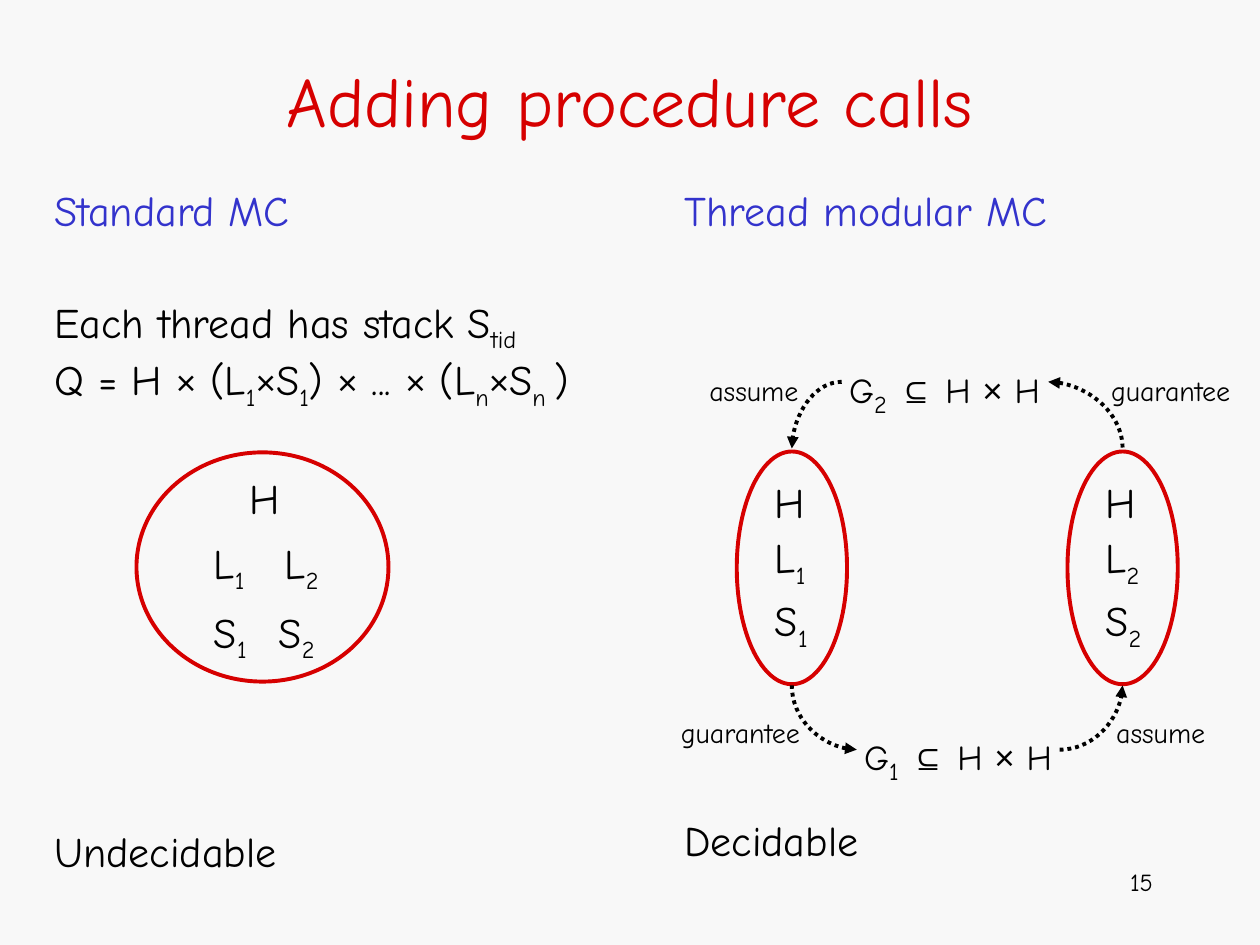
from dataclasses import dataclass
from itertools import groupby

from lxml.etree import SubElement
from pptx import Presentation
from pptx.dml.color import RGBColor
from pptx.enum.dml import MSO_LINE
from pptx.enum.shapes import MSO_CONNECTOR, MSO_SHAPE
from pptx.enum.text import MSO_ANCHOR, PP_ALIGN
from pptx.oxml.ns import qn
from pptx.util import Pt


@dataclass(frozen=True)
class Theme:
    background: RGBColor = RGBColor(0xF8, 0xF8, 0xF8)
    red: RGBColor = RGBColor(0xD6, 0x00, 0x00)
    blue: RGBColor = RGBColor(0x33, 0x33, 0xCC)
    black: RGBColor = RGBColor(0, 0, 0)
    font: str = "Comic Neue"
    symbol_font: str = "Arial"
    symbols: str = "×⊆"
    title: int = 40
    body: int = 24
    formula: int = 20
    label: int = 16
    number: int = 14
    line: float = 2.25


class SlideBuilder:
    def __init__(self, slide, theme):
        self.slide = slide
        self.theme = theme
        slide.background.fill.solid()
        slide.background.fill.fore_color.rgb = theme.background

    def text(self, left, top, width, height, markup, size=None, color=None, align=PP_ALIGN.LEFT):
        """Add a wrapping text box; braces in the markup enclose subscripts."""
        shape = self.slide.shapes.add_textbox(Pt(left), Pt(top), Pt(width), Pt(height))
        shape.text_frame.word_wrap = True
        self.fill_paragraph(shape.text_frame.paragraphs[0], markup, size, color, align)
        return shape.text_frame

    def fill_paragraph(self, paragraph, markup, size=None, color=None, align=PP_ALIGN.LEFT, tab=None):
        theme = self.theme
        paragraph.alignment = align
        if tab:
            tab_list = SubElement(paragraph._p.get_or_add_pPr(), qn("a:tabLst"))
            SubElement(tab_list, qn("a:tab"), pos=str(Pt(tab)), algn="l")
        paragraph.font.name = theme.font
        paragraph.font.size = Pt(size or theme.body)
        paragraph.font.color.rgb = color or theme.black
        for index, piece in enumerate(markup.replace("}", "{").split("{")):
            for is_symbol, letters in groupby(piece, lambda letter: letter in theme.symbols):
                run = paragraph.add_run()
                run.text = "".join(letters)
                if is_symbol:
                    run.font.name = theme.symbol_font
                    run.font.size = Pt(theme.formula)
                if index % 2:
                    run.font.size = Pt(theme.body)
                    run._r.get_or_add_rPr().set("baseline", "-25000")

    def ellipse(self, left, top, width, height):
        shape = self.slide.shapes.add_shape(
            MSO_SHAPE.OVAL, Pt(left), Pt(top), Pt(width), Pt(height))
        shape.shadow.inherit = False
        shape.fill.background()
        shape.line.color.rgb = self.theme.red
        shape.line.width = Pt(self.theme.line)

    def curve(self, begin, end, arrow):
        """Add a quarter curve that leaves begin sideways and meets end upright."""
        connector = self.slide.shapes.add_connector(
            MSO_CONNECTOR.CURVE, *(Pt(value) for value in begin + end))
        connector.line.color.rgb = self.theme.black
        connector.line.width = Pt(self.theme.line)
        connector.line.dash_style = MSO_LINE.ROUND_DOT
        properties = connector._element.spPr
        properties.find(qn("a:prstGeom")).set("prst", "curvedConnector2")
        outline = properties.find(qn("a:ln"))
        outline.find(qn("a:prstDash")).set("val", "sysDot")
        SubElement(outline, qn(arrow), type="triangle")
        SubElement(properties, qn("a:effectLst"))


def main():
    presentation = Presentation()
    presentation.slide_width, presentation.slide_height = Pt(720), Pt(540)
    theme = Theme()
    slide = presentation.slides.add_slide(presentation.slide_layouts[6])
    builder = SlideBuilder(slide, theme)

    # Title
    title = builder.text(54, 12, 612, 90, "Adding procedure calls",
                         theme.title, theme.red, PP_ALIGN.CENTER)
    title.vertical_anchor = MSO_ANCHOR.MIDDLE

    # Standard model checking
    body = builder.text(24, 102, 366, 162, "Standard MC", color=theme.blue)
    stack = body.add_paragraph()
    stack.space_before = Pt(35)
    builder.fill_paragraph(stack, "Each thread has stack S{tid}")
    builder.fill_paragraph(body.add_paragraph(),
                           "Q = H × (L{1}×S{1}) × ... × (L{n}×S{n })")
    builder.text(24, 468, 276, 72, "Undecidable")

    # Shared state of both threads
    builder.text(135.6, 266.4, 38, 36, "H")
    state = builder.text(115.2, 297, 78, 86, "")
    rows = [state.paragraphs[0], state.add_paragraph()]
    for row, letter, tab in zip(rows, "LS", (40.5, 37)):
        row.line_spacing = 1.2
        builder.fill_paragraph(row, f"{letter}{{1}}\t{letter}{{2}}", tab=tab)
    builder.ellipse(78, 258.5, 144, 131)

    # Thread modular model checking
    builder.text(384, 102, 276, 78, "Thread modular MC", color=theme.blue)
    builder.text(384, 462, 276, 78, "Decidable")

    # One ellipse per thread
    centers = (452.5, 641.5)
    for number, center in enumerate(centers, start=1):
        builder.ellipse(center - 31.5, 258, 63, 133)
        for top, markup in ((268.6, "H"), (300.2, f"L{{{number}}}"), (336.2, f"S{{{number}}}")):
            builder.text(center - 16.8, top, 42, 40, markup)

    # Guarantee relations
    for left, top, number in ((486.7, 412.6, 1), (478.1, 203, 2)):
        builder.text(left, top, 132, 40, f"G{{{number}}} ⊆ H × H", theme.formula)

    # Dotted arrows between relations and threads
    upper, lower = (218.2, 256.3), (428.4, 391.7)
    for center, side, (relation_y, thread_y), arrow in (
        (centers[0], 481, upper, "a:tailEnd"),
        (centers[1], 599, upper, "a:headEnd"),
        (centers[0], 489.6, lower, "a:headEnd"),
        (centers[1], 605.5, lower, "a:tailEnd"),
    ):
        builder.curve((side, relation_y), (center, thread_y), arrow)

    # Arrow labels
    for left, top, word in (
        (398.2, 210.2, "assume"),
        (627.8, 210.2, "guarantee"),
        (382, 405.4, "guarantee"),
        (630.7, 405.4, "assume"),
    ):
        builder.text(left, top, 90, 26.6, word, theme.label)

    # Slide number
    builder.text(516, 492, 150, 36, "15", theme.number, align=PP_ALIGN.RIGHT)

    presentation.save("out.pptx")


if __name__ == "__main__":
    main()
